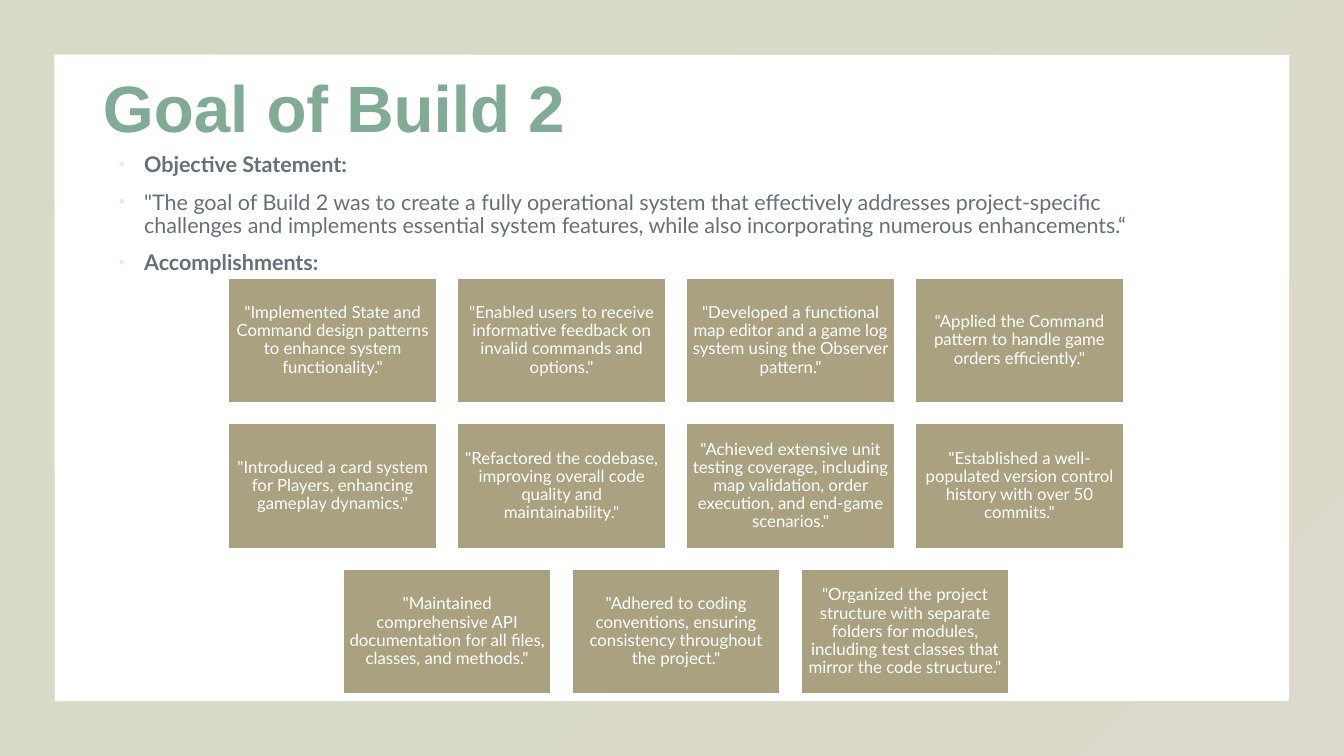
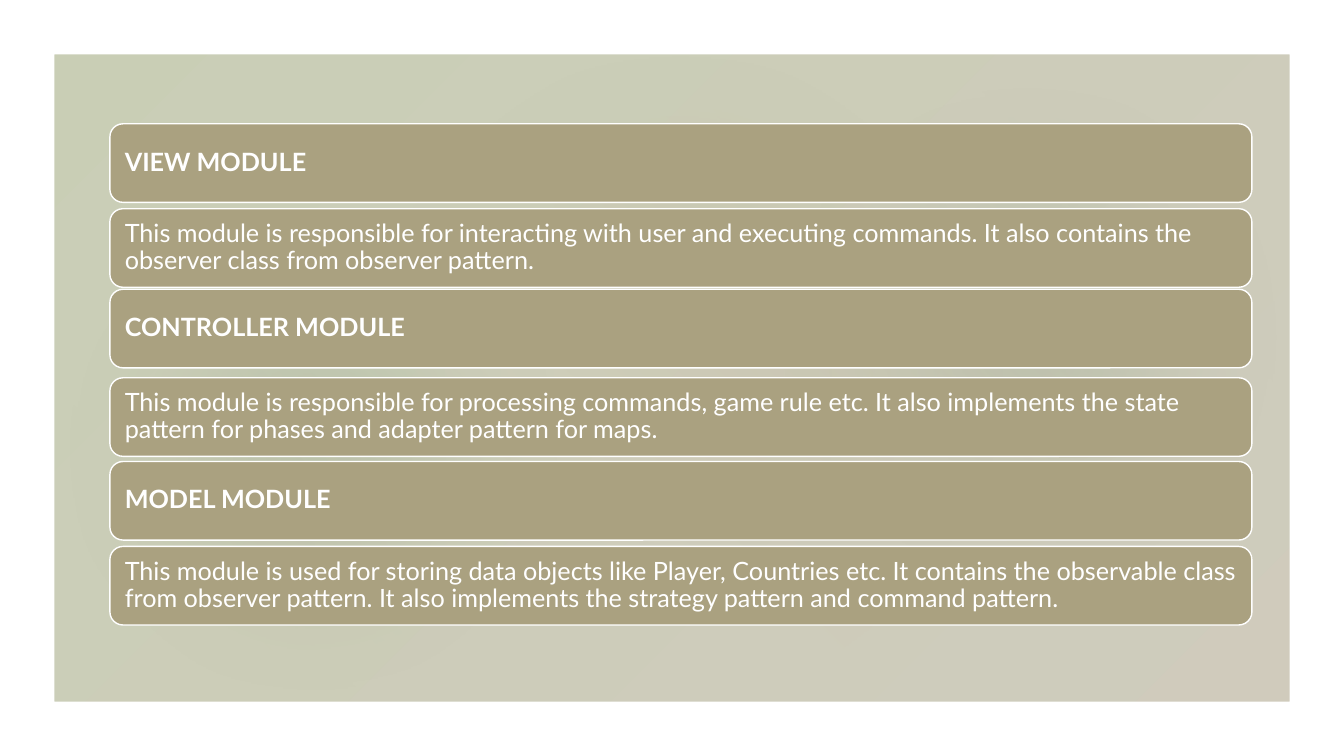
from lxml.etree import SubElement
from pptx import Presentation
from pptx.dml.color import RGBColor
from pptx.enum.shapes import MSO_SHAPE as Kind
from pptx.enum.text import MSO_ANCHOR as Anchor, MSO_AUTO_SIZE as Fit, PP_ALIGN as Align
from pptx.oxml.ns import qn
from pptx.util import Cm, Pt

WIDE, HIGH = 33.87, 19.05
WHITE, OLIVE, GREEN, SAGE = "FFFFFF", "AAA180", "9CA671", "81AB94"
INK, DOT, HAZE, SAND = "666F7A", "E5EAF0", "E2E3E8", "EEECE6"
FONT, HEAD = "Lato", "Arial"

TITLE = "Goal of Build 2"
INTRO = [
    ("Objective Statement:", True),
    ('"The goal of Build 2 was to create a fully operational system that effectively '
     'addresses project-specific challenges and implements essential system features, '
     'while also incorporating numerous enhancements.“', False),
    ("Accomplishments:", True),
]
GOALS = [
    ['"Implemented State and Command design patterns to enhance system functionality."',
     '"Enabled users to receive informative feedback on invalid commands and options."',
     '"Developed a functional map editor and a game log system using the Observer pattern."',
     '"Applied the Command pattern to handle game orders efficiently."'],
    ['"Introduced a card system for Players, enhancing gameplay dynamics."',
     '"Refactored the codebase, improving overall code quality and maintainability."',
     '"Achieved extensive unit testing coverage, including map validation, order execution, '
     'and end-game scenarios."',
     '"Established a well-populated version control history with over 50 commits."'],
    ['"Maintained comprehensive API documentation for all files, classes, and methods."',
     '"Adhered to coding conventions, ensuring consistency throughout the project."',
     '"Organized the project structure with separate folders for modules, including test '
     'classes that mirror the code structure."'],
]
# top in cm, text, bold
PANELS = [
    (3.12, "VIEW MODULE", True),
    (5.26, "This module is responsible for interacting with user and executing commands. "
     "It also contains the observer class from observer pattern.", False),
    (7.29, "CONTROLLER MODULE", True),
    (9.52, "This module is responsible for processing commands, game rule etc. It also "
     "implements the state pattern for phases and adapter pattern for maps.", False),
    (11.63, "MODEL MODULE", True),
    (13.77, "This module is used for storing data objects like Player, Countries etc. It "
     "contains the observable class from observer pattern. It also implements the "
     "strategy pattern and command pattern.", False),
]
FULL = (0, 0, WIDE, HIGH)
# box in cm, then colour stops with opacity in percent
LAYERS = [
    [(WHITE, 100)],
    [(GREEN, 60), (OLIVE, 60)],
    [(HAZE, 20)],
]
GLOWS = [
    ((7.62, 0, 19.05, 19.05), [(SAND, 40), (OLIVE, 40)]),
    ((0.2, 3.33, 15.52, 15.95), [(OLIVE, 40), (SAGE, 20)]),
    ((17.88, 0.53, 16, 15.95), [(OLIVE, 20), (SAGE, 40)]),
]


def rgb(code):
    return RGBColor.from_string(code)


def place(shape, box):
    shape.left, shape.top, shape.width, shape.height = map(Cm, box)


def draw(slide, kind, box, stops):
    """Add a shape without line or shadow, filled by one colour or a gradient."""
    shape = slide.shapes.add_shape(kind, *map(Cm, box))
    shape.shadow.inherit = False
    shape.line.fill.background()
    fill = shape.fill
    if len(stops) == 1:
        fill.solid()
        fill.fore_color.rgb = rgb(stops[0][0])
    else:
        fill.gradient()
        fill.gradient_angle = 315
        for stop, (code, _) in zip(fill.gradient_stops, stops):
            stop.color.rgb = rgb(code)
    tints = list(shape._element.spPr.iter(qn("a:srgbClr")))
    for tint, (_, alpha) in zip(tints, stops):
        if alpha < 100:
            SubElement(tint, qn("a:alpha"), val=str(alpha * 1000))
    return shape


def frame(slide, stops):
    shape = draw(slide, Kind.FRAME, FULL, stops)
    shape.adjustments[0] = 0.072
    return shape


def style(para, size, color, bold=False, name=FONT):
    para.line_spacing = 0.9
    for run in para.runs:
        font = run.font
        font.name, font.size, font.bold = name, Pt(size), bold
        font.color.rgb = rgb(color)


def card(slide, kind, box, text, size, pad, align, bold=False):
    shape = draw(slide, kind, box, [(OLIVE, 100)])
    shape.line.color.rgb = rgb(WHITE)
    shape.line.width = Pt(1)
    frm = shape.text_frame
    frm.text, frm.word_wrap, frm.vertical_anchor = text, True, Anchor.MIDDLE
    frm.margin_left = frm.margin_right = frm.margin_top = frm.margin_bottom = Cm(pad)
    frm.paragraphs[0].alignment = align
    style(frm.paragraphs[0], size, WHITE, bold)


def bullet(para):
    props = para._p.get_or_add_pPr()
    props.set("marL", str(Cm(1.27)))
    props.set("indent", str(-Cm(0.64)))
    SubElement(SubElement(props, qn("a:buClr")), qn("a:srgbClr"), val=DOT)
    SubElement(props, qn("a:buSzPct"), val="80000")
    SubElement(props, qn("a:buFont"), typeface=HEAD)
    SubElement(props, qn("a:buChar"), char="•")


def share(deck, shape):
    """Move a shape to the back of the slide master."""
    shape._element.nvSpPr.cNvPr.id = 20
    deck.slide_master.shapes._spTree.insert(2, shape._element)


def goals(deck):
    slide = deck.slides.add_slide(deck.slide_layouts[1])
    share(deck, frame(slide, [(GREEN, 40), (OLIVE, 40)]))

    title, body = slide.placeholders
    place(title, (2.34, 1.88, 14.6, 1.85))
    frm = title.text_frame
    frm.text, frm.auto_size, frm.vertical_anchor = TITLE, Fit.NONE, Anchor.MIDDLE
    frm.paragraphs[0].alignment = Align.LEFT
    style(frm.paragraphs[0], 46.8, SAGE, True, HEAD)

    place(body, (2.11, 3.76, 28.47, 3.25))
    frm = body.text_frame
    frm.text = "\n".join(text for text, _ in INTRO)
    frm.auto_size = Fit.NONE
    for para, (_, bold) in zip(frm.paragraphs, INTRO):
        style(para, 15.4, INK, bold)
        para.space_before = Pt(10)
        bullet(para)

    wide, high, step, drop, mid = 5.24, 3.14, 5.77, 3.67, 17.04
    for row, texts in enumerate(GOALS):
        left = mid - ((len(texts) - 1) * step + wide) / 2
        for col, text in enumerate(texts):
            box = (left + col * step, 7.01 + row * drop, wide, high)
            card(slide, Kind.RECTANGLE, box, text, 12, 0.13, Align.CENTER)


def modules(deck):
    slide = deck.slides.add_slide(deck.slide_layouts[6])
    for stops in LAYERS:
        draw(slide, Kind.RECTANGLE, FULL, stops)
    for box, stops in GLOWS:
        glow = draw(slide, Kind.OVAL, box, stops)
        glow.rotation = 270
        soft = glow._element.spPr.find(qn("a:effectLst"))
        SubElement(soft, qn("a:softEdge"), rad=str(Pt(100)))
    frame(slide, [(WHITE, 100)])
    for top, text, bold in PANELS:
        box = (2.77, top, 28.78, 1.98)
        card(slide, Kind.ROUNDED_RECTANGLE, box, text, 18, 0.28, Align.LEFT, bold)


def main():
    deck = Presentation()
    deck.slide_width, deck.slide_height = Cm(WIDE), Cm(HIGH)
    goals(deck)
    modules(deck)
    deck.save("out.pptx")


if __name__ == "__main__":
    main()
